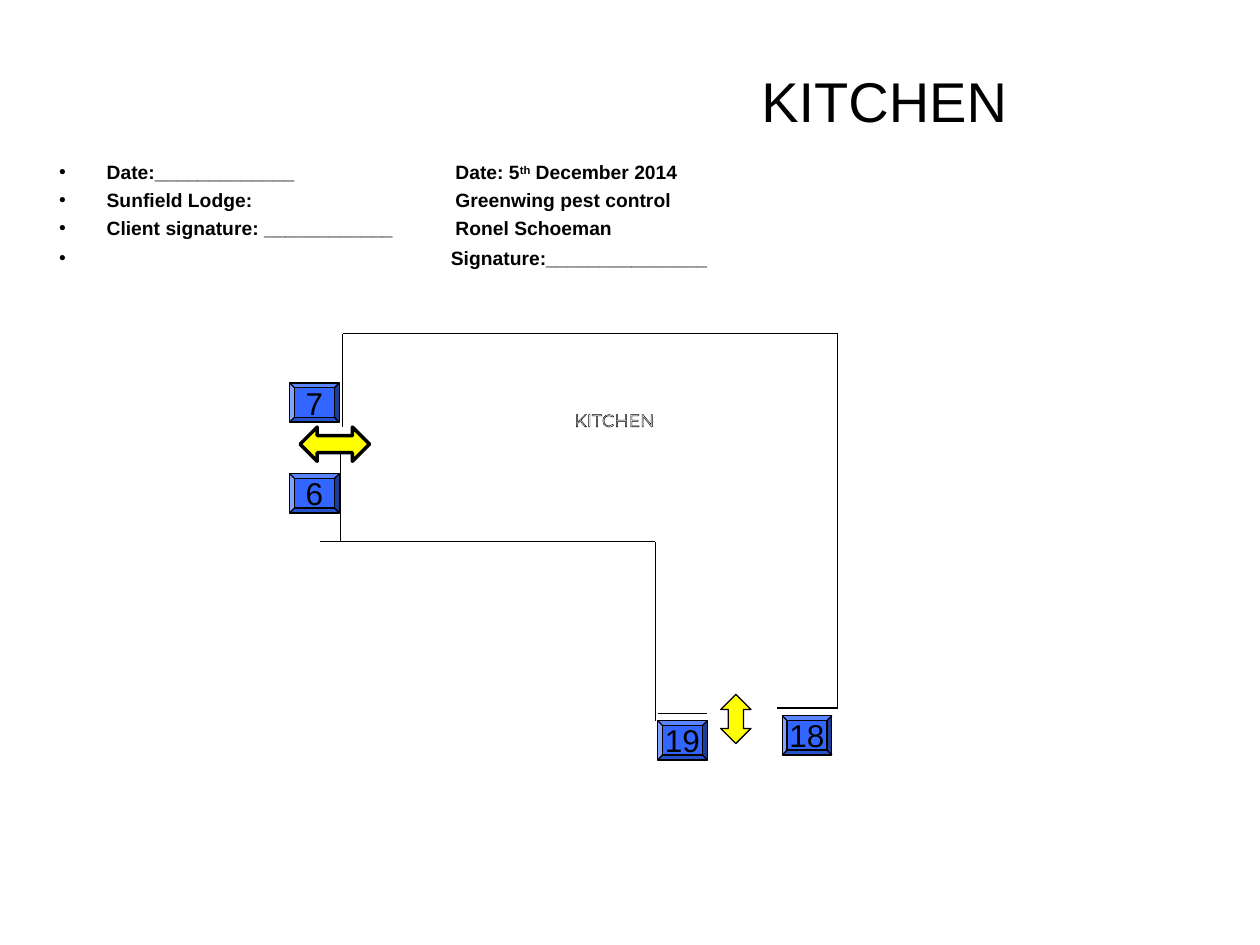
import pptx
import pptx.util
import pptx.dml.color
import pptx.enum.shapes
import pptx.enum.text
import pptx.oxml.ns
import lxml.etree

Cm = pptx.util.Cm
Pt = pptx.util.Pt
SHAPE = pptx.enum.shapes.MSO_SHAPE
ALIGN = pptx.enum.text.PP_ALIGN
ANCHOR = pptx.enum.text.MSO_ANCHOR
AUTO_SIZE = pptx.enum.text.MSO_AUTO_SIZE
qn = pptx.oxml.ns.qn


def colour(hex_string):
    return pptx.dml.color.RGBColor.from_string(hex_string)


class FloorPlan:
    ink = "000000"
    station_fill = "3366FF"
    door_fill = "FFFF00"
    font = "Arial"
    thin = 0.75

    def __init__(self, slide):
        self.slide = slide

    def run(self, paragraph, text, size, bold=False, superscript=False):
        run = paragraph.add_run()
        run.text = text
        run.font.name = self.font
        run.font.size = Pt(size)
        run.font.bold = bold
        run.font.color.rgb = colour(self.ink)
        if superscript:
            run.font._element.set("baseline", "30000")
        return run

    def place(self, placeholder, left, top, width, height):
        placeholder.left, placeholder.top = Cm(left), Cm(top)
        placeholder.width, placeholder.height = Cm(width), Cm(height)
        placeholder.text_frame.auto_size = AUTO_SIZE.NONE
        return placeholder.text_frame

    def title(self, text, *box):
        frame = self.place(self.slide.shapes.title, *box)
        frame.vertical_anchor = ANCHOR.MIDDLE
        frame.paragraphs[0].alignment = ALIGN.CENTER
        self.run(frame.paragraphs[0], text, 32)

    def details(self, index, lines, *box, inset=0.25):
        frame = self.place(self.slide.placeholders[index], *box)
        frame.vertical_anchor = ANCHOR.TOP
        frame.margin_left = Cm(inset)
        for number, (parts, hanging, space) in enumerate(lines):
            paragraph = frame.paragraphs[0] if number == 0 else frame.add_paragraph()
            paragraph.space_before = Pt(space)
            properties = paragraph._p.get_or_add_pPr()
            properties.set("marL", str(Cm(hanging)))
            properties.set("indent", str(-Cm(hanging)))
            if hanging:
                lxml.etree.SubElement(properties, qn("a:buChar"), char="•")
            else:
                lxml.etree.SubElement(properties, qn("a:buNone"))
            for text, raised in parts:
                self.run(paragraph, text, 11, bold=True, superscript=raised)

    def wall(self, x1, y1, x2, y2):
        line = self.slide.shapes.add_connector(
            pptx.enum.shapes.MSO_CONNECTOR.STRAIGHT, Cm(x1), Cm(y1), Cm(x2), Cm(y2))
        line.line.color.rgb = colour(self.ink)
        line.line.width = Pt(self.thin)
        lxml.etree.SubElement(line._element.spPr, qn("a:effectLst"))

    def block(self, kind, fill, line_width, adjustments, *box):
        block = self.slide.shapes.add_shape(kind, *map(Cm, box))
        block.shadow.inherit = False
        block.fill.solid()
        block.fill.fore_color.rgb = colour(fill)
        block.line.color.rgb = colour(self.ink)
        block.line.width = Pt(line_width)
        for index, value in enumerate(adjustments):
            block.adjustments[index] = value
        return block

    def station(self, number, left, top):
        block = self.block(SHAPE.BEVEL, self.station_fill, self.thin, [0.125],
                           left, top, 1, 0.79)
        frame = block.text_frame
        frame.word_wrap = False
        frame.vertical_anchor = ANCHOR.MIDDLE
        frame.paragraphs[0].alignment = ALIGN.CENTER
        self.run(frame.paragraphs[0], number, 18)

    def door(self, kind, line_width, adjustments, *box):
        self.block(kind, self.door_fill, line_width, adjustments, *box)

    def room_label(self, text, *box):
        frame = self.slide.shapes.add_textbox(*map(Cm, box)).text_frame
        frame.word_wrap = False
        frame.margin_left = frame.margin_right = 0
        frame.paragraphs[0].alignment = ALIGN.CENTER
        run = self.run(frame.paragraphs[0], text, 10)
        run.font.name = "Montserrat"
        run.font.color.rgb = colour("FFFFFF")
        outline = lxml.etree.Element(qn("a:ln"), w=str(Pt(self.thin)))
        solid = lxml.etree.SubElement(outline, qn("a:solidFill"))
        lxml.etree.SubElement(solid, qn("a:srgbClr"), val=self.ink)
        run.font._element.insert(0, outline)


def main():
    deck = pptx.Presentation()
    deck.slide_width, deck.slide_height = Cm(25.4), Cm(19.05)
    plan = FloorPlan(deck.slides.add_slide(deck.slide_layouts[3]))

    hanging, signature_hanging, space = 0.96, 7.9, 2.8
    client = [
        ([("Date:_____________", False)], hanging, space),
        ([("Sunfield Lodge:", False)], hanging, space),
        ([("Client signature: ____________", False)], hanging, space),
        ([("Signature:_______________", False)], signature_hanging, 4),
    ]
    contractor = [
        ([("Date: 5", False), ("th", True), (" December 2014", False)], 0, space),
        ([("Greenwing pest control", False)], 0, space),
        ([("Ronel Schoeman", False)], 0, space),
    ]
    plan.details(1, client, 0.94, 3.11, 14.5, 2.6)
    plan.details(2, contractor, 9.18, 3.11, 8, 2, inset=0)
    plan.title("KITCHEN ", 13.26, 1.52, 9.45, 0.99)

    west, east, north, south = 6.91, 16.89, 6.73, 14.27
    inner_corner, inner_wall = 13.21, 10.92
    walls = [
        (west, north, east, north),
        (east, north, east, south),
        (east, south, 15.67, south),
        (west, north, west, 8.61),
        (6.86, 9.02, 6.86, inner_wall),
        (6.45, inner_wall, inner_corner, inner_wall),
        (inner_corner, inner_wall, inner_corner, 14.53),
        (13.26, 14.38, 14.25, 14.38),
    ]
    for wall in walls:
        plan.wall(*wall)

    stations = [("19", 13.26, 14.53), ("18", 15.77, 14.43),
                ("6", 5.84, 9.55), ("7", 5.84, 7.72)]
    for station in stations:
        plan.station(*station)

    plan.door(SHAPE.UP_DOWN_ARROW, 0.75, [0.33, 0.5], 14.53, 14, 0.61, 0.99)
    plan.door(SHAPE.LEFT_RIGHT_ARROW, 2, [0.5, 0.5], 6.05, 8.61, 1.4, 0.69)
    plan.room_label("KITCHEN", 11.26, 8.13, 2.25, 0.48)
    deck.save("out.pptx")


if __name__ == "__main__":
    main()
